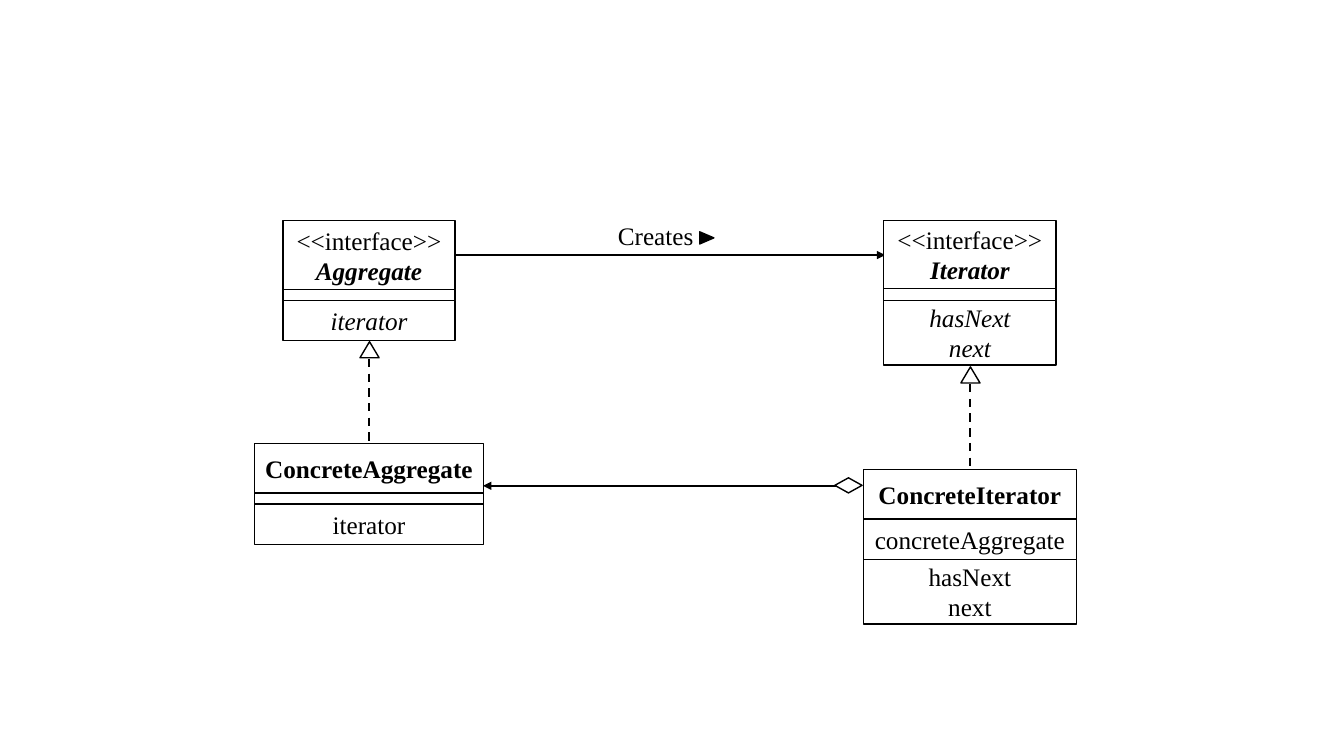
import pptx
import pptx.util
import pptx.dml.color
import pptx.enum.dml
import pptx.enum.shapes
import pptx.enum.text
import pptx.oxml
import pptx.oxml.ns

Inches, Pt = pptx.util.Inches, pptx.util.Pt
RGB = pptx.dml.color.RGBColor
KIND = pptx.enum.shapes.MSO_SHAPE
ALIGN = pptx.enum.text.PP_ALIGN
DASH = pptx.enum.dml.MSO_LINE.DASH

THEME = {
    "ink": RGB(0, 0, 0),
    "paper": RGB(255, 255, 255),
    "edge": Pt(1),
    "link": Pt(1.5),
    "font": {"name": "Times New Roman", "size": Pt(18)},
}
PLAIN, BOLD = {}, {"bold": True}
SLANT, BOTH = {"italic": True}, {"bold": True, "italic": True}


def add_box(home, kind, place, lines=(), fill="paper", turn=0):
    """Add an outlined shape with centred lines of (text, style)."""
    box = home.shapes.add_shape(kind, *map(Inches, place))
    box.shadow.inherit = False
    box.rotation = turn
    box.fill.solid()
    box.fill.fore_color.rgb = THEME[fill]
    box.line.color.rgb = THEME["ink"]
    box.line.width = THEME["edge"]
    frame = box.text_frame
    look = {"margin_left": Inches(0.05), "margin_right": Inches(0.05),
            "word_wrap": True,
            "vertical_anchor": pptx.enum.text.MSO_ANCHOR.MIDDLE}
    for key, value in look.items():
        setattr(frame, key, value)
    for spot, (text, style) in enumerate(lines):
        para = frame.add_paragraph() if spot else frame.paragraphs[0]
        para.alignment = ALIGN.CENTER
        run = para.add_run()
        run.text = text
        run.font.color.rgb = THEME["ink"]
        for key, value in {**THEME["font"], **style}.items():
            setattr(run.font, key, value)


def add_link(home, ends, dash=None, arrow=False):
    """Add a straight line, dashed or with an arrow at its end."""
    link = home.shapes.add_connector(
        pptx.enum.shapes.MSO_CONNECTOR.STRAIGHT, *map(Inches, ends))
    link.line.color.rgb = THEME["ink"]
    link.line.width = THEME["link"]
    if dash:
        link.line.dash_style = dash
    if arrow:
        tail = pptx.oxml.parse_xml(
            "<a:tailEnd %s type='triangle'/>" % pptx.oxml.ns.nsdecls("a"))
        link.line._get_or_add_ln().append(tail)
    link._element.spPr.append(pptx.oxml.parse_xml(
        "<a:effectLst %s/>" % pptx.oxml.ns.nsdecls("a")))


deck = pptx.Presentation()
deck.slide_width, deck.slide_height = Inches(13.33), Inches(7.5)
slide = deck.slides.add_slide(deck.slide_layouts[6])

# Creates: from Aggregate to Iterator
add_link(slide, (4.51, 2.53, 8.78, 2.53), arrow=True)
label = slide.shapes.add_textbox(*map(Inches, (6.03, 2.14, 1.13, 0.4)))
label.text_frame.word_wrap = True
label.text_frame.auto_size = pptx.enum.text.MSO_AUTO_SIZE.SHAPE_TO_FIT_TEXT
word = label.text_frame.paragraphs[0].add_run()
word.text = "Creates"
word.font.color.rgb = THEME["ink"]
for key, value in THEME["font"].items():
    setattr(word.font, key, value)
add_box(slide, KIND.ISOSCELES_TRIANGLE, (6.95, 2.29, 0.12, 0.14),
        fill="ink", turn=90)

# Each side: middle, foot of the interface, then its two classes
# Each class: width, top, rows of (height, lines)
sides = [
    (3.66, 3.39, [
        (1.71, 2.19, [
            (0.68, [("<<interface>>", PLAIN), ("Aggregate", BOTH)]),
            (0.11, []),
            (0.4, [("iterator", SLANT)])]),
        (2.27, 4.4, [
            (0.49, [("ConcreteAggregate", BOLD)]),
            (0.11, []),
            (0.4, [("iterator", PLAIN)])])]),
    (9.62, 3.64, [
        (1.71, 2.19, [
            (0.67, [("<<interface>>", PLAIN), ("Iterator", BOTH)]),
            (0.12, []),
            (0.64, [("hasNext", SLANT), ("next", SLANT)])]),
        (2.11, 4.66, [
            (0.49, [("ConcreteIterator", BOLD)]),
            (0.4, [("concreteAggregate", PLAIN)]),
            (0.64, [("hasNext", PLAIN), ("next", PLAIN)])])]),
]
for mid, foot, classes in sides:
    group = slide.shapes.add_group_shape()
    for width, top, rows in classes:
        for height, lines in rows:
            add_box(group, KIND.RECTANGLE,
                    (mid - width / 2, top, width, height), lines)
            top += height
    add_link(group, (mid, foot + 0.17, mid, foot + 1), dash=DASH)
    add_box(group, KIND.ISOSCELES_TRIANGLE,
            (mid - 0.09, foot, 0.19, 0.16))

# ConcreteIterator holds ConcreteAggregate
group = slide.shapes.add_group_shape()
add_link(group, (8.29, 4.82, 4.79, 4.82), arrow=True)
add_box(group, KIND.DIAMOND, (8.34, 4.68, 0.15, 0.27), turn=90)

deck.save("out.pptx")
